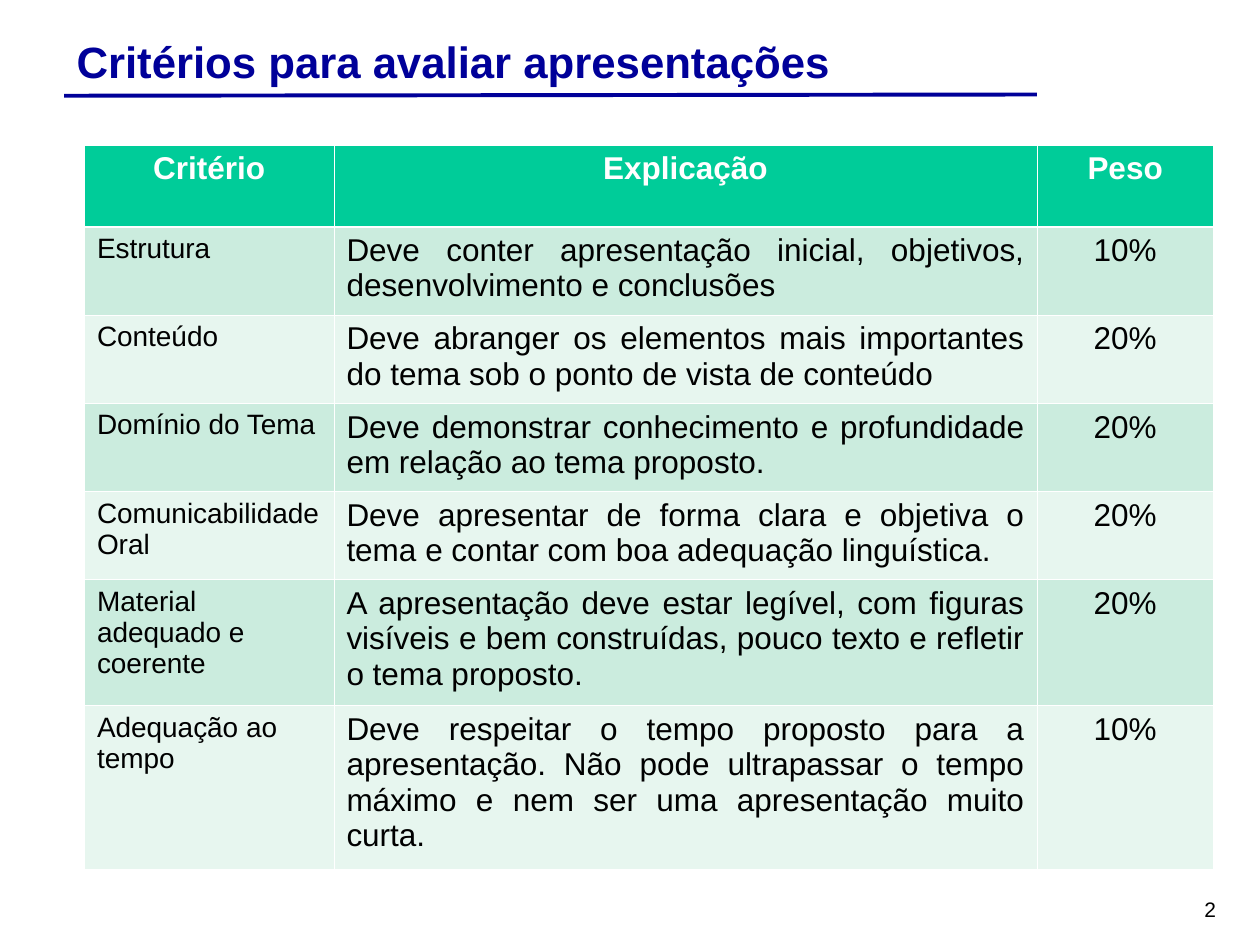
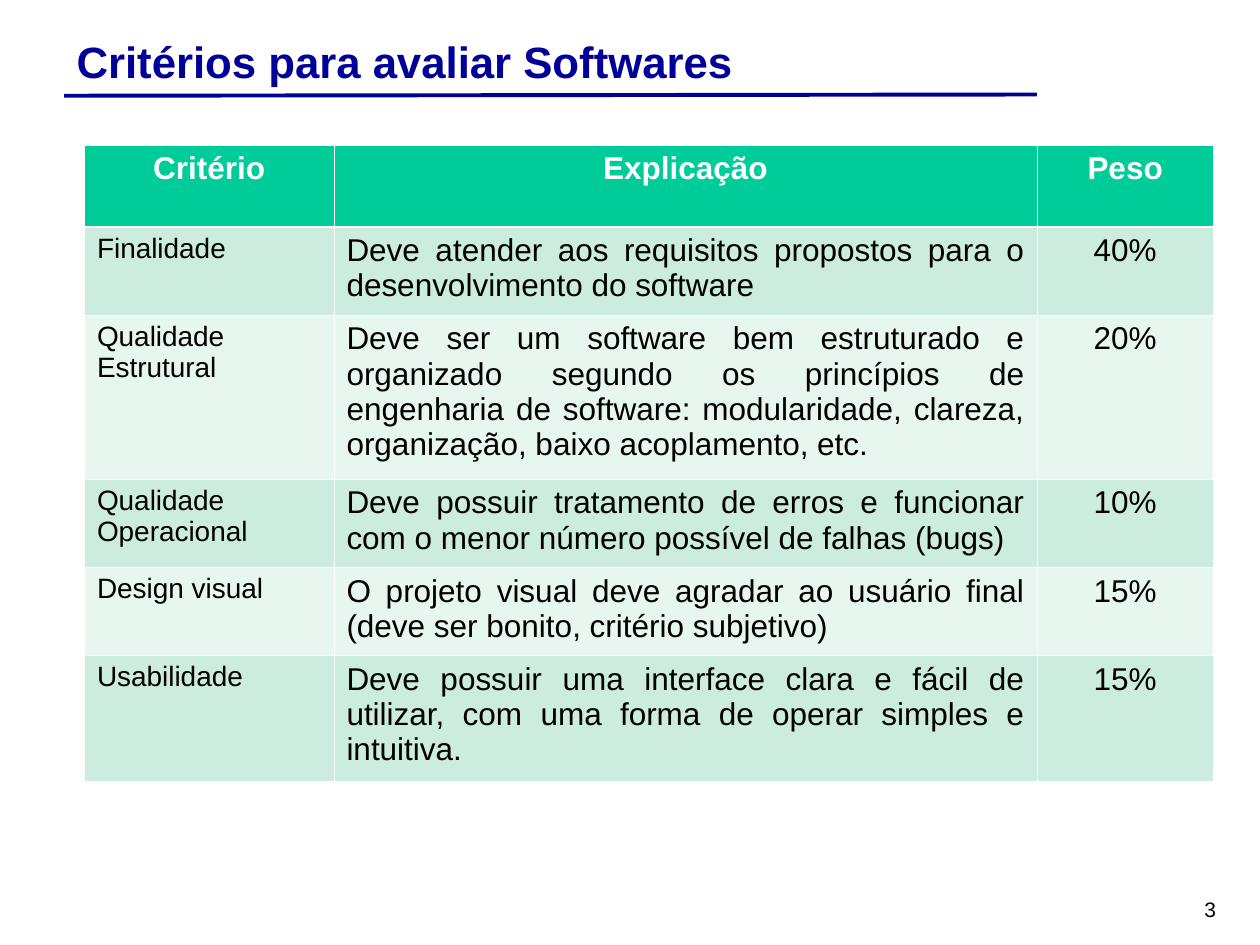
"""Builds two slides with weighted criteria tables for presentations and software."""
from lxml.etree import SubElement
from pptx import Presentation
from pptx.dml.color import RGBColor
from pptx.enum.shapes import MSO_CONNECTOR
from pptx.enum.text import MSO_ANCHOR as ANCHOR, PP_ALIGN as ALIGN
from pptx.oxml.ns import qn
from pptx.util import Inches, Pt

HEADER = ("Critério", "Explicação", "Peso")
SLIDES = [
    ("Critérios para avaliar apresentações", [
        ("Estrutura", "Deve conter apresentação inicial, objetivos, "
         "desenvolvimento e conclusões", "10%", 2),
        ("Conteúdo", "Deve abranger os elementos mais importantes do tema "
         "sob o ponto de vista de conteúdo", "20%", 2),
        ("Domínio do Tema", "Deve demonstrar conhecimento e profundidade "
         "em relação ao tema proposto.", "20%", 2),
        ("Comunicabilidade Oral", "Deve apresentar de forma clara e objetiva o tema "
         "e contar com boa adequação linguística.", "20%", 2),
        ("Material adequado e coerente", "A apresentação deve estar legível, com figuras "
         "visíveis e bem construídas, pouco texto e refletir o tema proposto.", "20%", 3),
        ("Adequação ao tempo", "Deve respeitar o tempo proposto para a apresentação. "
         "Não pode ultrapassar o tempo máximo e nem ser uma apresentação muito curta.",
         "10%", 4),
    ]),
    ("Critérios para avaliar Softwares", [
        ("Finalidade", "Deve atender aos requisitos propostos para o "
         "desenvolvimento do software", "40%", 2),
        ("Qualidade Estrutural", "Deve ser um software bem estruturado e organizado "
         "segundo os princípios de engenharia de software: modularidade, clareza, "
         "organização, baixo acoplamento, etc.", "20%", 4),
        ("Qualidade Operacional", "Deve possuir tratamento de erros e funcionar com o "
         "menor número possível de falhas (bugs)", "10%", 2),
        ("Design visual", "O projeto visual deve agradar ao usuário final "
         "(deve ser bonito, critério subjetivo)", "15%", 2),
        ("Usabilidade", "Deve possuir uma interface clara e fácil de utilizar, "
         "com uma forma de operar simples e intuitiva.", "15%", 3),
    ]),
]
FIRST_NUMBER = 2

FONT = "Arial"
NAVY = RGBColor(0x00, 0x00, 0x99)
BLACK = RGBColor(0x00, 0x00, 0x00)
WHITE = RGBColor(0xFF, 0xFF, 0xFF)
GREEN = RGBColor(0x00, 0xCC, 0x99)
BANDS = (RGBColor(0xCB, 0xEC, 0xDE), RGBColor(0xE7, 0xF6, 0xEF))

COLS = (1.98, 5.58, 1.4)
TABLE_LEFT, TABLE_TOP = 0.67, 1.15
HEADER_H, LINE_H, ROW_PAD = 0.65, 0.3, 0.1
COL_FORMATS = ((16, ALIGN.LEFT), (18, ALIGN.JUSTIFY), (18, ALIGN.CENTER))
THIN, THICK = 0.45, 1.47


def write(tf, text, size=18, color=BLACK, bold=False, align=ALIGN.LEFT):
    p = tf.paragraphs[0]
    p.alignment = align
    r = p.add_run()
    r.text = text
    r.font.name, r.font.size, r.font.bold = FONT, Pt(size), bold
    r.font.color.rgb = color


def add_text(s, box, text, anchor=ANCHOR.TOP, **fmt):
    tf = s.shapes.add_textbox(*map(Inches, box)).text_frame
    tf.word_wrap = True
    tf.vertical_anchor = anchor
    write(tf, text, **fmt)


def add_frame(s, title, number):
    rule = s.shapes.add_connector(
        MSO_CONNECTOR.STRAIGHT, *map(Inches, (0.51, 0.76, 8.23, 0.75)))
    rule.line.color.rgb = NAVY
    rule.line.width = Pt(2.25)
    SubElement(rule._element.spPr, qn("a:effectLst"))
    add_text(s, (9.46, 7.07, 0.73, 0.3), str(number), size=12)
    add_text(s, (0.51, 0.22, 7.64, 0.52), title, anchor=ANCHOR.MIDDLE,
             size=25, color=NAVY, bold=True)


def set_borders(cell, top, bottom):
    tc_pr = cell._tc.get_or_add_tcPr()
    for side, width in (("L", THIN), ("R", THIN), ("T", top), ("B", bottom)):
        ln = SubElement(tc_pr, qn(f"a:ln{side}"), w=str(Pt(width)))
        SubElement(SubElement(ln, qn("a:solidFill")), qn("a:srgbClr"), val=str(WHITE))


def add_criteria(s, criteria):
    heights = [HEADER_H] + [ROW_PAD + LINE_H * lines for *_, lines in criteria]
    box = (TABLE_LEFT, TABLE_TOP, sum(COLS), sum(heights))
    table = s.shapes.add_table(len(heights), len(COLS), *map(Inches, box)).table
    table.horz_banding = table.first_row = False
    for col, width in zip(table.columns, COLS):
        col.width = Inches(width)
    for i, values in enumerate([HEADER] + [row[:3] for row in criteria]):
        table.rows[i].height = Inches(heights[i])
        for j, (size, align) in enumerate(COL_FORMATS):
            cell = table.cell(i, j)
            set_borders(cell, THICK if i == 1 else THIN, THICK if i == 0 else THIN)
            cell.fill.solid()
            if i == 0:
                cell.fill.fore_color.rgb = GREEN
                write(cell.text_frame, values[j], color=WHITE, bold=True, align=ALIGN.CENTER)
            else:
                cell.fill.fore_color.rgb = BANDS[(i - 1) % 2]
                write(cell.text_frame, values[j], size=size, align=align)


def main():
    prs = Presentation()
    prs.slide_width, prs.slide_height = Inches(10), Inches(7.5)
    for number, (title, criteria) in enumerate(SLIDES, FIRST_NUMBER):
        s = prs.slides.add_slide(prs.slide_layouts[6])
        add_frame(s, title, number)
        add_criteria(s, criteria)
    prs.save("out.pptx")


if __name__ == "__main__":
    main()
